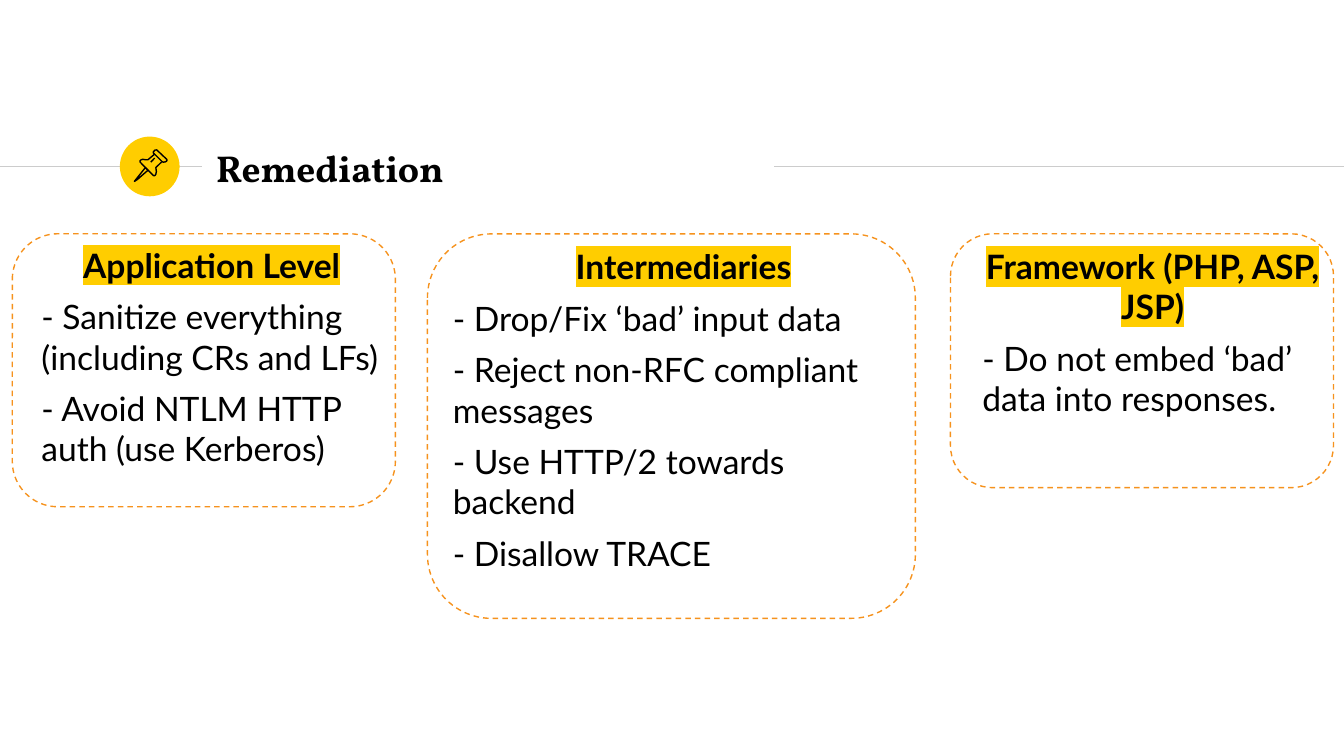
from lxml import etree
from pptx import Presentation
from pptx.dml.color import RGBColor
from pptx.enum.dml import MSO_LINE
from pptx.enum.shapes import MSO_CONNECTOR, MSO_SHAPE
from pptx.enum.text import MSO_ANCHOR, PP_ALIGN
from pptx.oxml.ns import qn
from pptx.util import Pt

DASH = MSO_LINE.DASH
STRAIGHT = MSO_CONNECTOR.STRAIGHT
OVAL, ROUNDED = MSO_SHAPE.OVAL, MSO_SHAPE.ROUNDED_RECTANGLE
MIDDLE, TOP = MSO_ANCHOR.MIDDLE, MSO_ANCHOR.TOP
CENTER, LEFT = PP_ALIGN.CENTER, PP_ALIGN.LEFT

COLORS = {"ink": "000000", "yellow": "FFCD00", "rule": "CCCCCC", "frame": "F6921D"}
SLIDE_W, SLIDE_H = 720, 405
INSET = 7.2
COLUMN_TOP = 125.3

# Pushpin strokes in points from the badge's corner: (points, closed)
PIN_STROKES = [
    ([(13.7, 16.6), (8.6, 23), (7.8, 24), (9.4, 23), (15.1, 18)], True),
    ([(18.7, 9.4), (22.7, 13.4), (23.3, 13.7), (24.5, 13.5), (25.2, 13),
      (25.2, 12.2), (19.8, 7.1), (18.9, 7.2), (18, 8.1), (18, 8.8)], True),
    ([(18.7, 9.4), (15.1, 12.4), (13.7, 12.4), (12.2, 12.2), (11.2, 12.6),
      (10.8, 13), (10.9, 13.7), (18, 20.9), (18.8, 20.9), (19.3, 20.2),
      (19.6, 18.7), (19.3, 16.6), (22.3, 13.7)], False),
    ([(16.6, 13.7), (18.7, 11.5)], False),
]

# Frame left, width, height; text offset x, y, width, height; heading; measures
COLUMNS = [
    ((229, 261.4, 206), (6.5, -0.7, 261.4, 181), "Intermediaries",
     ["- Drop/Fix ‘bad’ input data", "- Reject non-RFC compliant messages",
      "- Use HTTP/2 towards backend", "- Disallow TRACE"]),
    ((6.6, 205.2, 146.2), (8.5, -1.4, 196.6, 136), "Application Level",
     ["- Sanitize everything (including CRs and LFs)",
      "- Avoid NTLM HTTP auth (use Kerberos)"]),
    ((509.2, 205.2, 136), (10, -0.7, 196.6, 155.5), "Framework (PHP, ASP, JSP)",
     ["- Do not embed ‘bad’ data into responses."]),
]


def rgb(name):
    return RGBColor.from_string(COLORS[name])


def style_outline(shape, color):
    shape.shadow.inherit = False
    shape.fill.background()
    shape.line.color.rgb = rgb(color)
    shape.line.width = Pt(0.75)


def add_rule(slide, start, end, y):
    rule = slide.shapes.add_connector(STRAIGHT, Pt(start), Pt(y), Pt(end), Pt(y))
    rule.line.color.rgb = rgb("rule")
    rule.line.width = Pt(0.75)
    etree.SubElement(rule._element.spPr, qn("a:effectLst"))


def add_text_frame(slide, left, top, width, height, anchor):
    frame = slide.shapes.add_textbox(Pt(left), Pt(top), Pt(width), Pt(height)).text_frame
    frame.word_wrap = True
    frame.vertical_anchor = anchor
    frame.margin_left = frame.margin_right = Pt(INSET)
    frame.margin_top = frame.margin_bottom = Pt(INSET)
    return frame


def write(paragraph, text, font_name, size, bold=False):
    run = paragraph.add_run()
    run.text = text
    font = paragraph.font
    font.name, font.size, font.bold = font_name, Pt(size), bold
    font.color.rgb = rgb("ink")
    return run


def highlight(run, color):
    run.font.color.rgb = rgb("ink")
    marker = etree.Element(qn("a:highlight"))
    etree.SubElement(marker, qn("a:srgbClr"), val=COLORS[color])
    run._r.rPr.find(qn("a:solidFill")).addnext(marker)


def add_badge(slide, left, top, size):
    disc = slide.shapes.add_shape(OVAL, Pt(left), Pt(top), Pt(size), Pt(size))
    disc.shadow.inherit = False
    disc.fill.solid()
    disc.fill.fore_color.rgb = rgb("yellow")
    disc.line.fill.background()
    for points, closed in PIN_STROKES:
        outline = [(Pt(left + x), Pt(top + y)) for x, y in points]
        builder = slide.shapes.build_freeform(*outline[0])
        builder.add_line_segments(outline[1:], close=closed)
        style_outline(builder.convert_to_shape(), "ink")


def add_header(slide, left, top, width, height):
    # Rules run behind the badge and stop either side of the title
    rule_y = top + height / 2
    add_rule(slide, left, left + 108, rule_y)
    add_rule(slide, left + 414.7, left + width, rule_y)
    add_badge(slide, left + 64.2, top, height)
    title = add_text_frame(slide, left + 108.7, top - 0.7, 305.3, 34.6, MIDDLE)
    write(title.paragraphs[0], "Remediation", "Vollkorn", 20, bold=True)


def add_column(slide, left, top, width, height, text_box, heading, measures):
    # Dashed frame
    frame = slide.shapes.add_shape(ROUNDED, Pt(left), Pt(top), Pt(width), Pt(height))
    style_outline(frame, "frame")
    frame.line.dash_style = DASH

    # Highlighted heading, then the measures
    dx, dy, text_width, text_height = text_box
    body = add_text_frame(slide, left + dx, top + dy, text_width, text_height, TOP)
    for index, text in enumerate([heading, *measures]):
        is_heading = index == 0
        paragraph = body.paragraphs[0] if is_heading else body.add_paragraph()
        paragraph.alignment = CENTER if is_heading else LEFT
        paragraph.space_before = Pt(6)
        run = write(paragraph, text, "Lato", 18, bold=is_heading)
        if is_heading:
            highlight(run, "yellow")


def main():
    deck = Presentation()
    deck.slide_width, deck.slide_height = Pt(SLIDE_W), Pt(SLIDE_H)
    slide = deck.slides.add_slide(deck.slide_layouts[6])
    add_header(slide, 0, 73.2, SLIDE_W, 32)
    for (left, width, height), text_box, heading, measures in COLUMNS:
        add_column(slide, left, COLUMN_TOP, width, height, text_box, heading, measures)
    deck.save("out.pptx")


if __name__ == "__main__":
    main()
